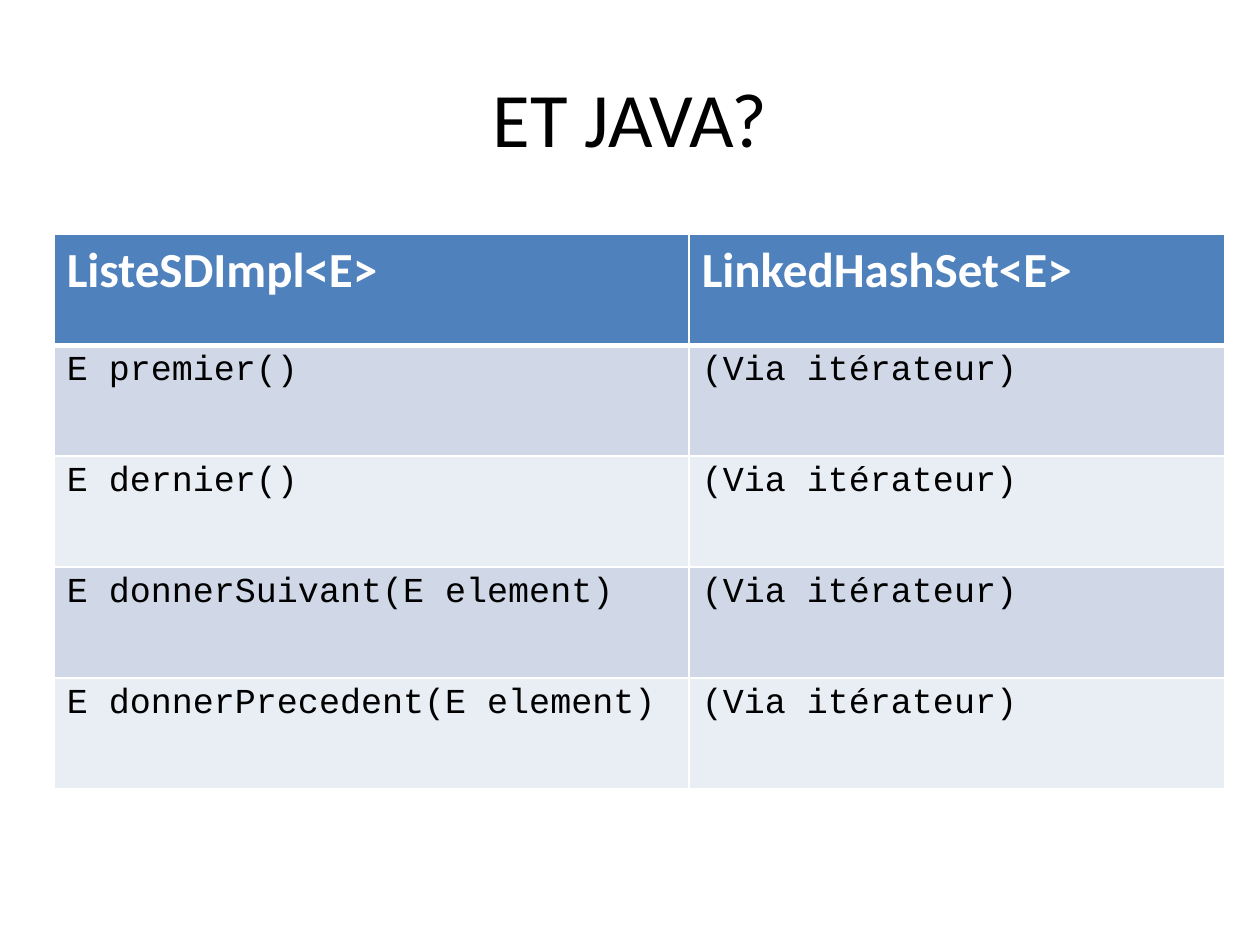
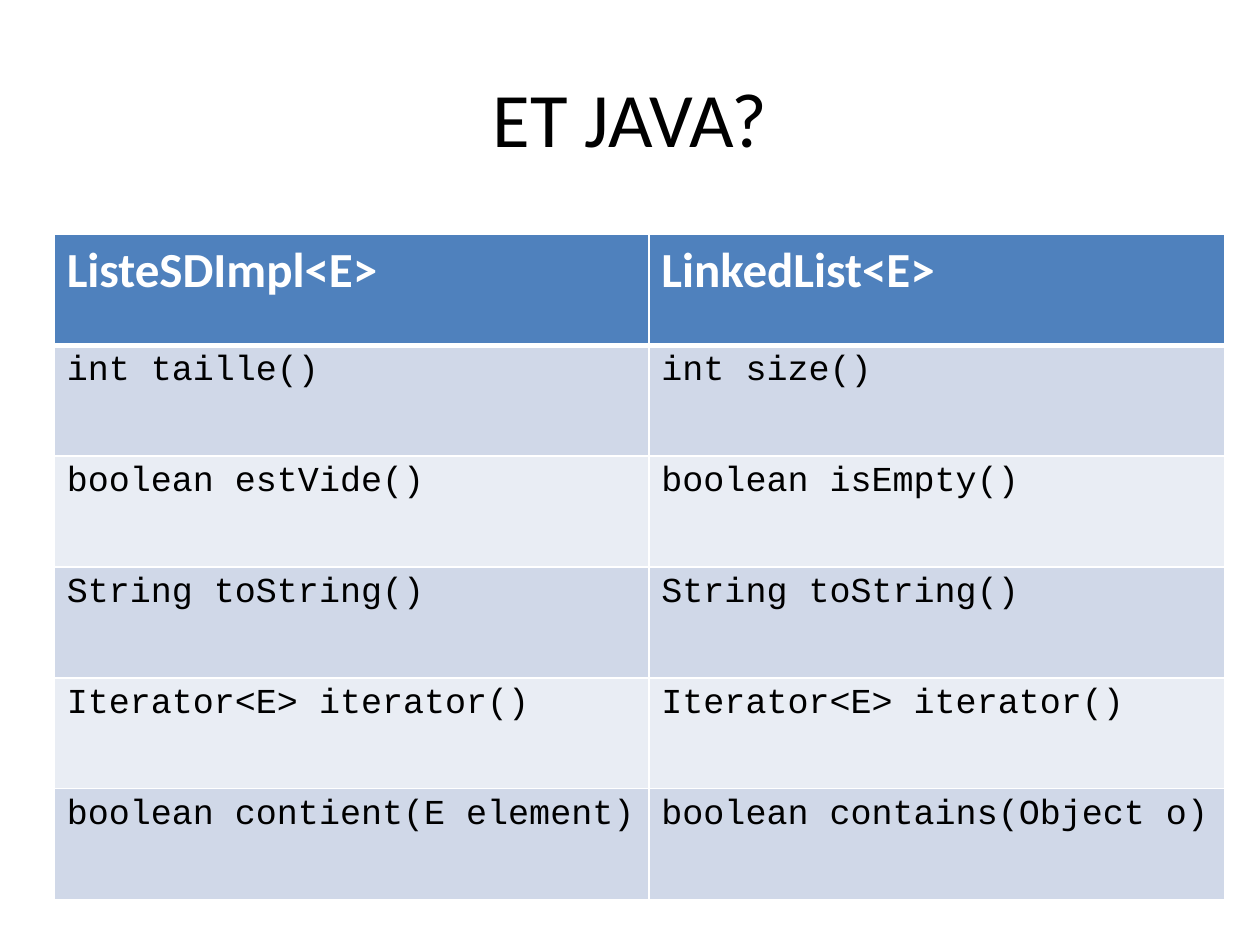
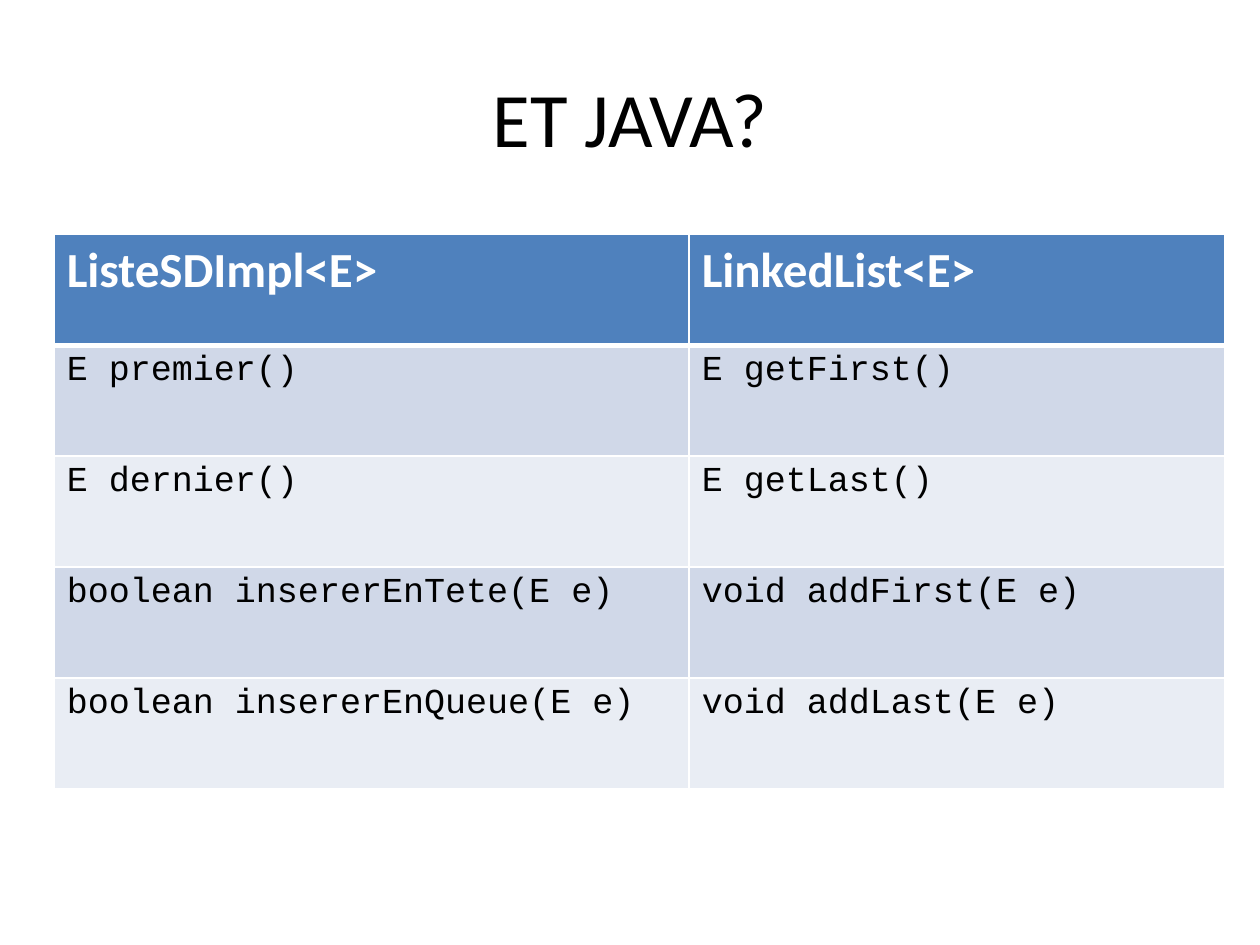
import pptx
import pptx.dml.color
import pptx.enum.text
import pptx.oxml.ns
import pptx.util
from lxml import etree

Inches, Pt = pptx.util.Inches, pptx.util.Pt

# Shared style
WHITE, BLACK, HEADER = "FFFFFF", "000000", "4F81BD"
BANDS = ("D0D8E8", "E9EDF4")
TEXT_FONT, CODE_FONT = "Calibri", "Courier New"
LEFT, TOP, WIDTH, ROW_HEIGHT = 0.43, 1.86, 9.29, 0.88
THIN, THICK = 1, 3
TITLE = "ET JAVA?"


def rgb(value):
    return pptx.dml.color.RGBColor.from_string(value)


class Deck:
    """Holds the presentation, its style and the current slide."""

    def __init__(self):
        self.prs = pptx.Presentation()
        self.prs.slide_width, self.prs.slide_height = Inches(10), Inches(7.5)
        self.s = None

    def new_slide(self, title):
        self.s = self.prs.slides.add_slide(self.prs.slide_layouts[5])
        sp = self.s.shapes.title
        sp.left, sp.top = Inches(0.5), Inches(0.3)
        sp.width, sp.height = Inches(9), Inches(1.25)
        tf = sp.text_frame
        tf.vertical_anchor = pptx.enum.text.MSO_ANCHOR.MIDDLE
        p = tf.paragraphs[0]
        p.text = title
        p.alignment = pptx.enum.text.PP_ALIGN.CENTER
        self.font(p, TEXT_FONT, 44, BLACK)

    def font(self, p, name, size, color, bold=False):
        f = p.font
        f.name, f.size, f.bold = name, Pt(size), bold
        f.color.rgb = rgb(color)

    def borders(self, cell, top, bottom):
        tc_pr = cell._tc.get_or_add_tcPr()
        qn = pptx.oxml.ns.qn
        sides = {"a:lnL": THIN, "a:lnR": THIN, "a:lnT": top, "a:lnB": bottom}
        for tag, width in sides.items():
            ln = etree.SubElement(tc_pr, qn(tag), w=str(Pt(width)))
            fill = etree.SubElement(ln, qn("a:solidFill"))
            etree.SubElement(fill, qn("a:srgbClr"), val=WHITE)

    def cell(self, cell, row, text):
        # A thick rule separates the header from the body
        self.borders(cell, THICK if row == 1 else THIN,
                     THICK if row == 0 else THIN)
        cell.fill.solid()
        cell.fill.fore_color.rgb = rgb(BANDS[(row - 1) % 2] if row else HEADER)
        p = cell.text_frame.paragraphs[0]
        p.text = text
        if row == 0:
            self.font(p, TEXT_FONT, 28, WHITE, bold=True)
        else:
            self.font(p, CODE_FONT, 20, BLACK)

    def table(self, first_width, rows):
        frame = self.s.shapes.add_table(
            len(rows), 2, Inches(LEFT), Inches(TOP),
            Inches(WIDTH), Inches(ROW_HEIGHT * len(rows)))
        table = frame.table
        table.columns[0].width = Inches(first_width)
        table.columns[1].width = Inches(WIDTH - first_width)
        for i, row in enumerate(rows):
            table.rows[i].height = Inches(ROW_HEIGHT)
            for j, text in enumerate(row):
                self.cell(table.cell(i, j), i, text)


# Each slide: width of the first column, then the table rows
VIA_ITERATOR = "(Via itérateur)"
COMPARISONS = [
    (5.04, [
        ("ListeSDImpl<E>", "LinkedHashSet<E>"),
        ("E premier()", VIA_ITERATOR),
        ("E dernier()", VIA_ITERATOR),
        ("E donnerSuivant(E element)", VIA_ITERATOR),
        ("E donnerPrecedent(E element)", VIA_ITERATOR),
    ]),
    (4.72, [
        ("ListeSDImpl<E>", "LinkedList<E>"),
        ("int taille()", "int size()"),
        ("boolean estVide()", "boolean isEmpty()"),
        ("String toString()", "String toString()"),
        ("Iterator<E> iterator()", "Iterator<E> iterator()"),
        ("boolean contient(E element)", "boolean contains(Object o)"),
    ]),
    (5.04, [
        ("ListeSDImpl<E>", "LinkedList<E>"),
        ("E premier()", "E getFirst()"),
        ("E dernier()", "E getLast()"),
        ("boolean insererEnTete(E e)", "void addFirst(E e)"),
        ("boolean insererEnQueue(E e)", "void addLast(E e)"),
    ]),
]


def main():
    deck = Deck()
    for first_width, rows in COMPARISONS:
        deck.new_slide(TITLE)
        deck.table(first_width, rows)
    deck.prs.save("out.pptx")


if __name__ == "__main__":
    main()
